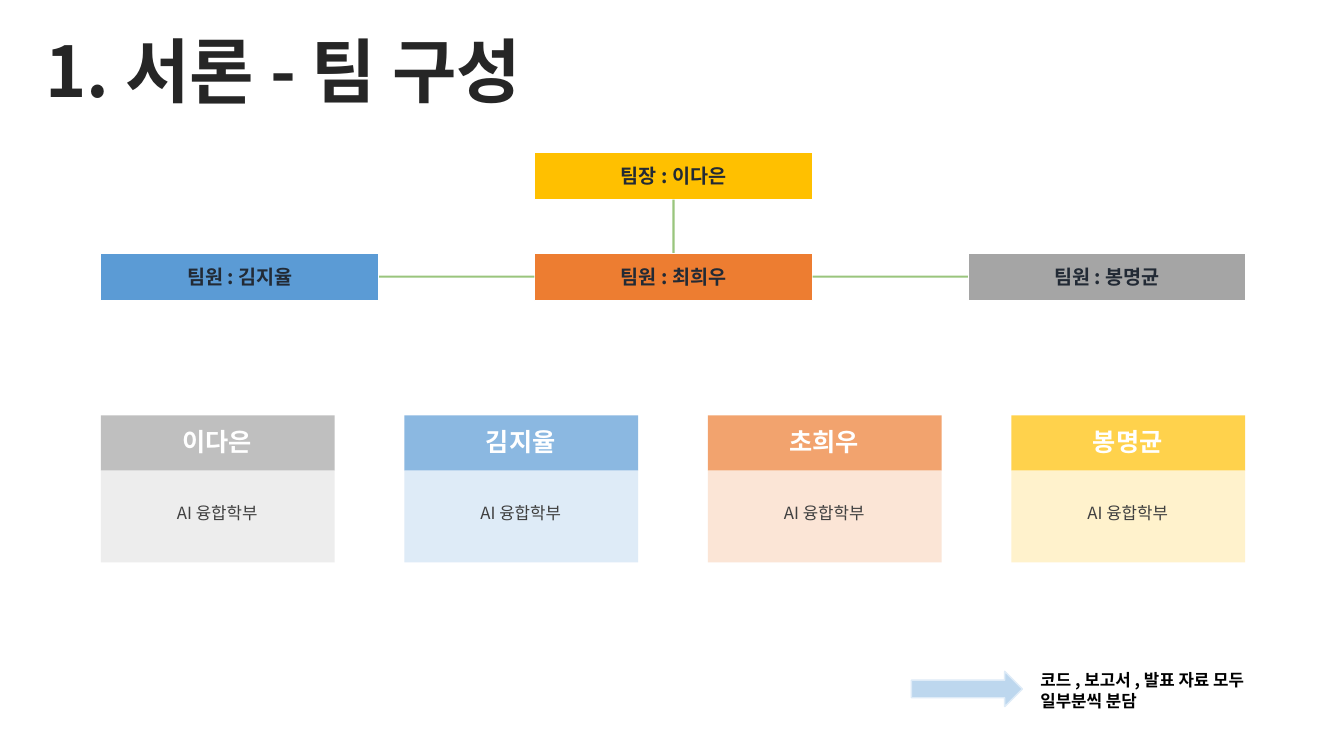
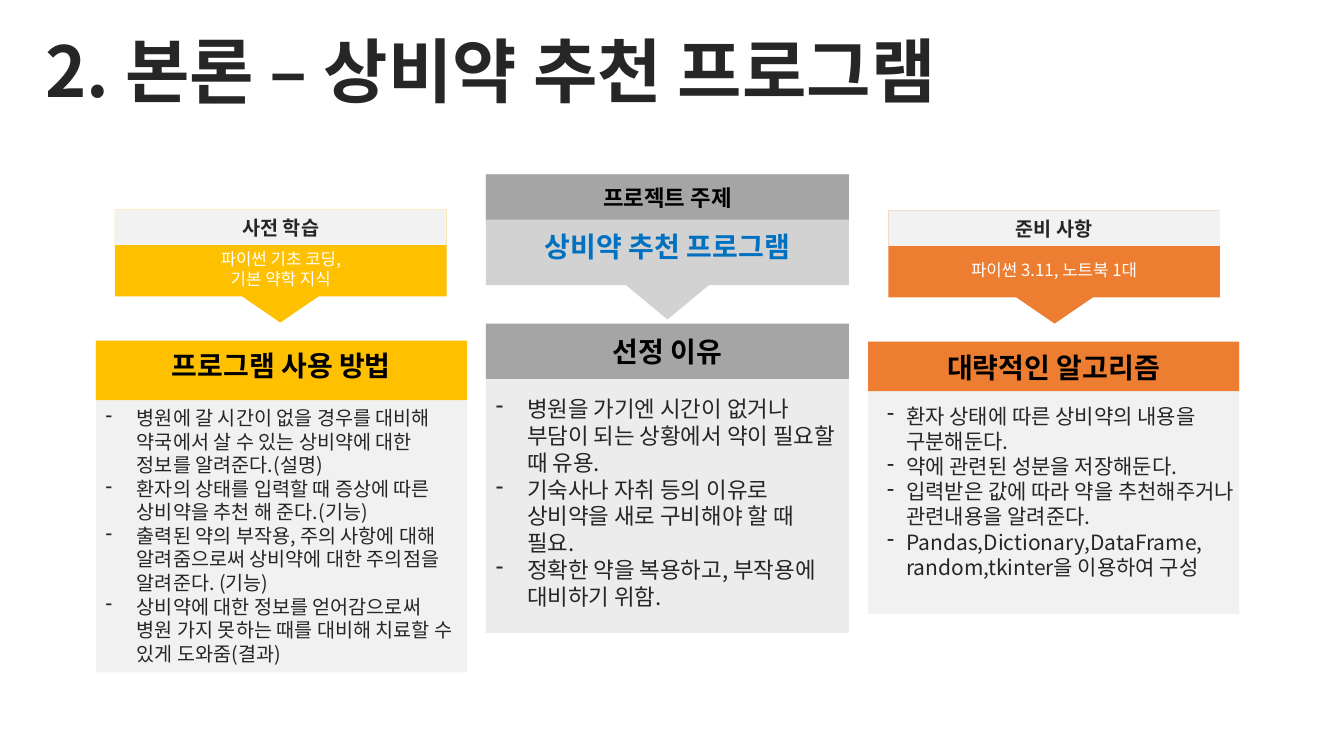
from pptx import Presentation
from pptx.dml.color import RGBColor as Rgb
from pptx.enum.shapes import MSO_CONNECTOR as Conn, MSO_SHAPE as Kind
from pptx.enum.text import MSO_ANCHOR as Anchor, PP_ALIGN as Align
from pptx.oxml.ns import qn
from pptx.util import Pt
from lxml.etree import SubElement as Sub

PX = 9144  # one hundred px to the inch
FONT = "Noto Sans CJK KR"
HUE = {
    "white": "FFFFFF", "black": "000000", "ink": "262626", "navy": "222A35",
    "soft": "404040", "link": "0070C0", "gold": "FFC000", "rust": "ED7D31",
    "gray": "A5A5A5", "blue": "5B9BD5", "green": "70AD47", "panel": "ECECEC",
    "label": "F2F2F2", "silver": "D2D2D2", "mist": "EDEDED", "sky": "DEEBF7",
    "peach": "FBE5D6", "cream": "FFF2CC", "arrow": "BDD7EE",
}


def emu(*vals):
    return [round(v * PX) for v in vals]


def hue(name):
    return Rgb.from_string(HUE[name])


def fade(item, pct):
    for clr in item.element.spPr.iter(qn("a:srgbClr")):
        Sub(clr, qn("a:alpha")).set("val", str(pct * 1000))


def write(shape, lines, size, color, bold=False, align=Align.CENTER,
          anchor=Anchor.TOP):
    frame = shape.text_frame
    frame.word_wrap = True
    frame.vertical_anchor = anchor
    frame.text = "\n".join(lines)
    for para in frame.paragraphs:
        para.alignment = align
        for run in para.runs:
            font = run.font
            font.size, font.bold, font.name = Pt(size), bold, FONT
            font.color.rgb = hue(color)
            Sub(font._element, qn("a:ea")).set("typeface", FONT)
    return frame


def text(slide, box, lines, size, color, **style):
    area = slide.shapes.add_textbox(*emu(*box))
    return write(area, lines, size, color, **style)


def paint(shape, fill, line=None, alpha=None):
    shape.shadow.inherit = False
    shape.fill.solid()
    shape.fill.fore_color.rgb = hue(fill)
    if alpha:
        fade(shape, alpha)
    if line:
        shape.line.color.rgb = hue(line)
        shape.line.width = Pt(1)
    else:
        shape.line.fill.background()
    return shape


def block(slide, box, fill, kind=Kind.RECTANGLE, **look):
    return paint(slide.shapes.add_shape(kind, *emu(*box)), fill, **look)


def link(slide, *ends):
    wire = slide.shapes.add_connector(Conn.STRAIGHT, *emu(*ends))
    wire.line.color.rgb = hue("green")
    wire.line.width = Pt(1.5)
    fade(wire, 70)
    Sub(wire.element.spPr, qn("a:effectLst"))


def start(deck, title):
    slide = deck.slides.add_slide(deck.slide_layouts[6])
    frame = text(slide, (35, 37, 1266, 79), [title], 50, "ink", bold=True,
                 align=Align.LEFT, anchor=Anchor.MIDDLE)
    frame.paragraphs[0].line_spacing = 0.8
    frame.paragraphs[0].space_before = Pt(10)
    return slide


def chart(slide, x, y):
    """Leader above a row of three members."""
    wide, high, step, drop = 276, 47, 430, 100
    mid, row = x + step, y + drop
    spots = [
        (mid, y, "gold", "팀장 : 이다은"),
        (x, row, "blue", "팀원 : 김지율"),
        (mid, row, "rust", "팀원 : 최희우"),
        (x + 2 * step, row, "gray", "팀원 : 봉명균"),
    ]
    for left, top, fill, name in spots:
        cell = block(slide, (left, top, wide, high), fill, line="white")
        write(cell, [name], 14, "navy", bold=True, anchor=Anchor.MIDDLE)
    link(slide, mid + wide / 2, y + high, mid + wide / 2, row)
    for left in (x, mid):
        level = row + high / 2
        link(slide, left + wide, level, left + step, level)


def card(slide, x, y, name, head, body):
    wide, cap = 232, 55
    block(slide, (x, y, wide, cap), head, alpha=70)
    block(slide, (x, y + cap, wide, 91), body)
    text(slide, (x + 25, y + 12, 181, 27), [name], 18, "white", bold=True,
         anchor=Anchor.MIDDLE)
    text(slide, (x + 25, y + 82, 181, 30), ["AI 융합학부"], 12, "soft")


def note(slide, x, y):
    block(slide, (x, y + 6, 110, 35), "arrow", Kind.RIGHT_ARROW, line="sky")
    text(slide, (x + 118, y, 271, 50),
         ["코드 , 보고서 , 발표 자료 모두 일부분씩 분담"],
         12, "black", bold=True, align=Align.LEFT)


def callout(slide, box, neck, tip, fill, bar, label, lines, drop):
    """Labelled box with a point below; bar and label are (height, fill)
    and (text, size, color), lines is (texts, size, color, bold)."""
    x, y, wide, high = box
    mid = x + wide / 2
    pen = slide.shapes.build_freeform(x, y, scale=PX)
    pen.add_line_segments([
        (x + wide, y), (x + wide, y + high), (mid + neck, y + high),
        (mid, y + high + tip), (mid - neck, y + high), (x, y + high)])
    paint(pen.convert_to_shape(), fill)
    tall, tone = bar
    head = block(slide, (x, y, wide, tall), tone)
    name, size, color = label
    write(head, [name], size, color, bold=True, anchor=Anchor.MIDDLE)
    words, size, color, bold = lines
    text(slide, (x + 24, y + drop, wide - 48, 44), words, size, color,
         bold=bold)


def panel(slide, box, cap, fill, mid, title, shift, size, dent, items,
          alpha=None):
    """Titled list; mid is the title's centre, shift the list's offset."""
    x, y, wide, high = box
    block(slide, box, "panel", alpha=alpha)
    block(slide, (x, y, wide, cap), fill)
    text(slide, (x + 20, y + mid - 22, wide - 40, 44), [title], 20, "black",
         bold=True, anchor=Anchor.MIDDLE)
    right, down = shift
    frame = text(slide, (x + right, y + down, wide, high - down), items,
                 size, "ink", align=Align.LEFT)
    for para in frame.paragraphs:
        props = para._p.get_or_add_pPr()
        props.set("marL", str(dent * PX))
        props.set("indent", str(-dent * PX))
        Sub(props, qn("a:buChar")).set("char", "-")


def team(deck):
    slide = start(deck, "1. 서론 - 팀 구성")
    chart(slide, 100, 151)
    cards = [
        ("이다은", "gray", "mist"), ("김지율", "blue", "sky"),
        ("초희우", "rust", "peach"), ("봉명균", "gold", "cream"),
    ]
    for i, parts in enumerate(cards):
        card(slide, 100 + 301 * i, 412, *parts)
    note(slide, 904, 660)


def plan(deck):
    slide = start(deck, "2. 본론 – 상비약 추천 프로그램")

    # Callouts above the panels
    callout(slide, (482, 173, 360, 110), 41, 34, "silver", (45, "gray"),
            ("프로젝트 주제", 16, "black"),
            (["상비약 추천 프로그램"], 20, "link", True), 50)
    sides = [
        (114, 208, "gold", "사전 학습",
         ["파이썬 기초 코딩,", "기본 약학 지식"], 34),
        (881, 209, "rust", "준비 사항", ["파이썬 3.11, 노트북 1대"], 44),
    ]
    for x, y, fill, name, words, drop in sides:
        callout(slide, (x, y, 329, 86), 38, 26, fill, (35, "label"),
                (name, 14, "ink"), (words, 12, "white", False), drop)

    # Panels
    panel(slide, (95, 338, 368, 329), 59, "gold", 24, "프로그램 사용 방법",
          (0, 60), 14, 31, [
              "병원에 갈 시간이 없을 경우를 대비해 약국에서 살 수 있는 "
              "상비약에 대한 정보를 알려준다.(설명)",
              "환자의 상태를 입력할 때 증상에 따른 상비약을 추천 해 준다.(기능)",
              "출력된 약의 부작용, 주의 사항에 대해 알려줌으로써 "
              "상비약에 대한 주의점을 알려준다. (기능)",
              "상비약에 대한 정보를 얻어감으로써 병원 가지 못하는 때를 "
              "대비해 치료할 수 있게 도와줌(결과)",
          ], alpha=70)
    panel(slide, (482, 321, 360, 307), 55, "gray", 28, "선정 이유",
          (0, 66), 16, 31, [
              "병원을 가기엔 시간이 없거나 부담이 되는 상황에서 약이 "
              "필요할 때 유용.",
              "기숙사나 자취 등의 이유로 상비약을 새로 구비해야 할 때 필요.",
              "정확한 약을 복용하고, 부작용에 대비하기 위함.",
          ])
    panel(slide, (861, 339, 368, 270), 49, "rust", 25, "대략적인 알고리즘",
          (9, 56), 15, 19, [
              "환자 상태에 따른 상비약의 내용을 구분해둔다.",
              "약에 관련된 성분을 저장해둔다.",
              "입력받은 값에 따라 약을 추천해주거나 관련내용을 알려준다.",
              "Pandas,Dictionary,DataFrame, random,tkinter을 이용하여 구성",
          ], alpha=70)


def main():
    deck = Presentation()
    deck.slide_width, deck.slide_height = emu(1333, 750)
    team(deck)
    plan(deck)
    deck.save("out.pptx")


if __name__ == "__main__":
    main()
